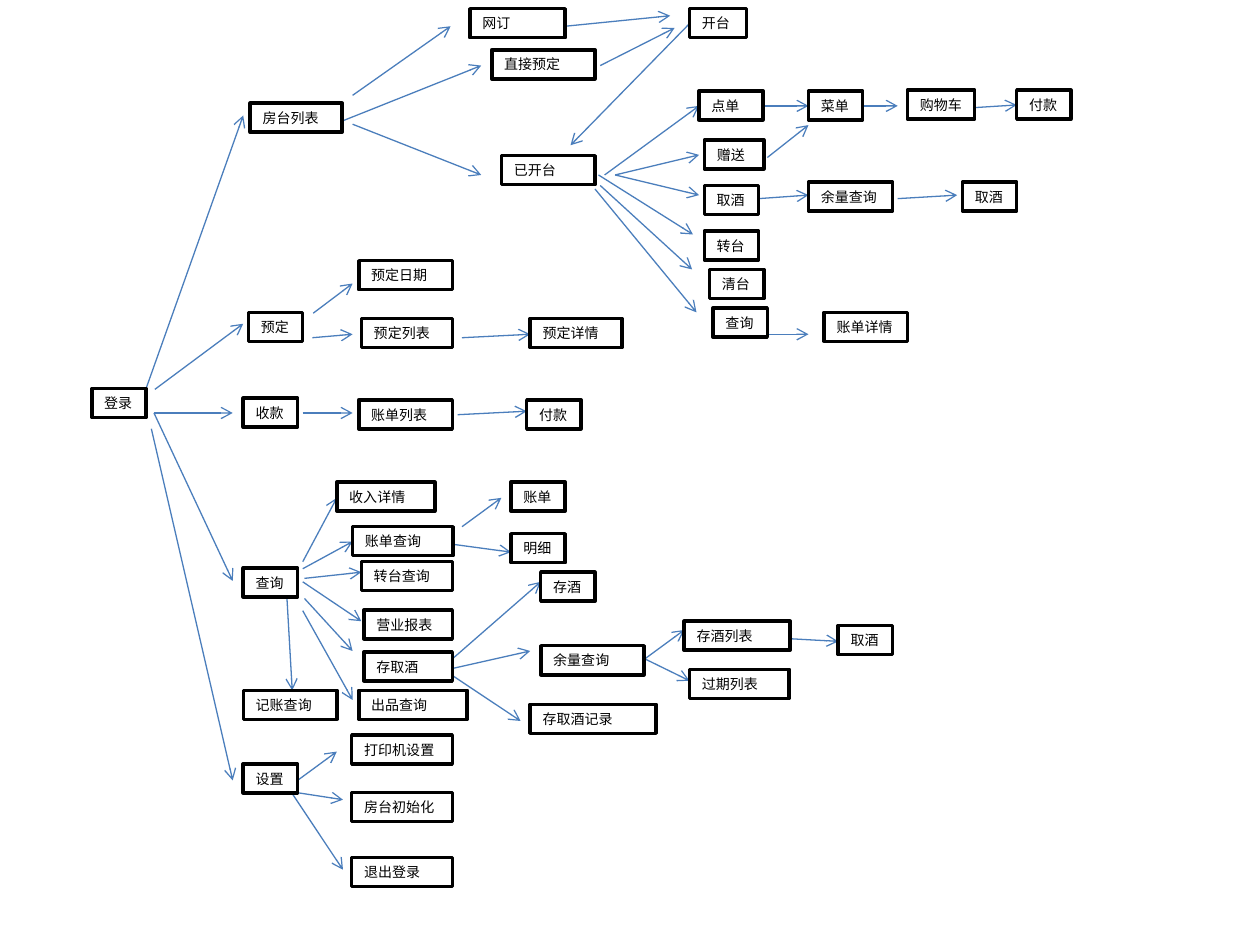
from typing import NamedTuple

from lxml.etree import SubElement as add_node
from pptx import Presentation
from pptx.dml.color import RGBColor as Rgb
from pptx.enum.shapes import MSO_CONNECTOR as Link, MSO_SHAPE as Kind
from pptx.enum.text import MSO_ANCHOR as Anchor, MSO_AUTO_SIZE as Fit, PP_ALIGN as Align
from pptx.oxml.ns import qn
from pptx.util import Pt


class Theme(NamedTuple):
    """Colours, type and line sizes."""
    paper: Rgb = Rgb(255, 255, 255)
    ink: Rgb = Rgb(0, 0, 0)
    blue: Rgb = Rgb.from_string("4B7EBC")
    font: str = "Calibri"
    size: float = 8
    frame: float = 2
    thin: float = 0.75
    tall: float = 16.6


class Box(NamedTuple):
    """One step of the flow, in points."""
    text: str
    left: float
    top: float
    wide: float = 31


class Arrow(NamedTuple):
    """One arrow from (x1, y1) to (x2, y2), in points."""
    x1: float
    y1: float
    x2: float
    y2: float


THEME = Theme()

BOXES = [
    # Login and main menu
    Box("登录", 52.5, 222), Box("房台列表", 143, 59, 52.5), Box("预定", 142, 178.5),
    Box("收款", 139, 227.5), Box("查询", 139, 324.5), Box("设置", 139, 436.5),
    # Tables
    Box("网订", 268.5, 5, 54.5), Box("直接预定", 281, 28.5, 59), Box("已开台", 286.5, 89, 53.5),
    Box("开台", 394, 5, 32.5), Box("点单", 399.5, 52, 36.5), Box("赠送", 402.5, 80, 34),
    Box("取酒", 402.5, 106), Box("转台", 402.5, 132), Box("清台", 405.5, 154), Box("查询", 407.5, 176),
    Box("菜单", 462, 52), Box("购物车", 518.5, 51.5, 38.5), Box("付款", 581, 51.5),
    Box("余量查询", 462, 104, 48), Box("取酒", 550, 104), Box("账单详情", 471, 178.5, 47.5),
    # Booking and payment
    Box("预定日期", 205, 149, 53.5), Box("预定列表", 206.5, 182, 52), Box("预定详情", 303, 182, 52.5),
    Box("账单列表", 205, 228.5, 53.5), Box("付款", 301, 228.5),
    # Queries
    Box("收入详情", 192.5, 275.5, 56), Box("账单查询", 201.5, 301, 57.5), Box("转台查询", 206.5, 321, 52),
    Box("营业报表", 208, 348.5, 50.5), Box("存取酒", 208, 372.5, 50.5), Box("出品查询", 205, 394.5, 62),
    Box("记账查询", 139, 394.5, 53.5), Box("账单", 292, 275.5), Box("明细", 292, 305),
    Box("存酒", 309, 327), Box("余量查询", 309, 369, 59), Box("存取酒记录", 303, 402.5, 72),
    Box("存酒列表", 391, 355, 60.5), Box("过期列表", 394, 382.5, 57), Box("取酒", 479, 357.5),
    # Settings
    Box("打印机设置", 201, 420, 57.5), Box("房台初始化", 201, 453, 57.5), Box("退出登录", 201, 490, 57.5),
]

ARROWS = [
    # From login
    Arrow(83.5, 222, 139, 66), Arrow(88.5, 222.5, 139, 185), Arrow(88, 236, 133, 236),
    Arrow(88, 236, 133, 332), Arrow(86.5, 245, 133, 446),
    # Tables
    Arrow(201.5, 54.5, 257.5, 15), Arrow(196, 69, 275, 37.5), Arrow(201.5, 71, 275, 100),
    Arrow(323, 15, 383, 9), Arrow(343, 37.5, 385.5, 16), Arrow(394, 13.5, 326, 83),
    Arrow(345.5, 100, 399.5, 60.5), Arrow(351.5, 100, 399.5, 88.5), Arrow(351.5, 100, 399.5, 111.5),
    Arrow(342, 100, 396, 134), Arrow(343, 106, 395.5, 154), Arrow(340, 108, 398, 178.5),
    Arrow(436, 60.5, 462, 60.5), Arrow(493, 60.5, 513, 60.5), Arrow(557, 61.5, 581, 60),
    Arrow(438.5, 90, 462, 71.5), Arrow(433.5, 113.5, 462, 111.5), Arrow(513, 113.5, 547, 111.5),
    Arrow(436, 191, 462, 191),
    # Booking and payment
    Arrow(179, 179, 201.5, 162), Arrow(178.5, 193, 201.5, 191), Arrow(264, 193, 303, 191),
    Arrow(173, 236, 201.5, 236), Arrow(261.5, 237, 301, 235),
    # Queries
    Arrow(173, 321, 192.5, 284.5), Arrow(173, 325, 201.5, 309.5), Arrow(174, 330.5, 206.5, 327),
    Arrow(173, 332.5, 206.5, 355), Arrow(174, 342, 201.5, 372), Arrow(173, 349, 201.5, 400),
    Arrow(164, 342, 167, 394.5), Arrow(264, 301, 286.5, 284.5), Arrow(258.5, 311, 292, 315.5),
    Arrow(258.5, 376.5, 309, 332.5), Arrow(258.5, 382, 303, 372), Arrow(258.5, 386, 297.5, 412),
    Arrow(368.5, 376.5, 391, 360), Arrow(368.5, 376.5, 394, 389), Arrow(451.5, 365, 479, 366.5),
    # Settings
    Arrow(170, 446, 192.5, 429.5), Arrow(170, 453, 196, 457), Arrow(167, 453.5, 196, 497),
]


def style(item: object, values: dict) -> None:
    """Set each attribute named in values."""
    for name, value in values.items():
        setattr(item, name, value)


def draw_box(slide, box: Box) -> None:
    """Add one framed label."""
    shape = slide.shapes.add_shape(
        Kind.RECTANGLE, Pt(box.left), Pt(box.top), Pt(box.wide), Pt(THEME.tall))
    shape.shadow.inherit = False
    shape.fill.solid()
    shape.fill.fore_color.rgb = THEME.paper
    shape.line.color.rgb = THEME.ink
    shape.line.width = Pt(THEME.frame)
    frame = shape.text_frame
    style(frame, {"word_wrap": True, "auto_size": Fit.SHAPE_TO_FIT_TEXT,
                  "vertical_anchor": Anchor.TOP})
    line = frame.paragraphs[0]
    line.alignment = Align.LEFT
    run = line.add_run()
    run.text = box.text
    style(run.font, {"name": THEME.font, "size": Pt(THEME.size)})
    run.font.color.rgb = THEME.ink


def draw_arrow(slide, arrow: Arrow) -> None:
    """Add one thin line with an open head at its end."""
    link = slide.shapes.add_connector(Link.STRAIGHT, *map(Pt, arrow))
    link.line.color.rgb = THEME.blue
    link.line.width = Pt(THEME.thin)
    add_node(link.line._get_or_add_ln(), qn("a:tailEnd"), type="arrow")
    add_node(link._element.spPr, qn("a:effectLst"))


def main() -> None:
    """Build and save the slide."""
    deck = Presentation()
    style(deck, {"slide_width": Pt(720), "slide_height": Pt(540)})
    slide = deck.slides.add_slide(deck.slide_layouts[6])
    for arrow in ARROWS:
        draw_arrow(slide, arrow)
    for box in BOXES:
        draw_box(slide, box)
    deck.save("out.pptx")


main()
